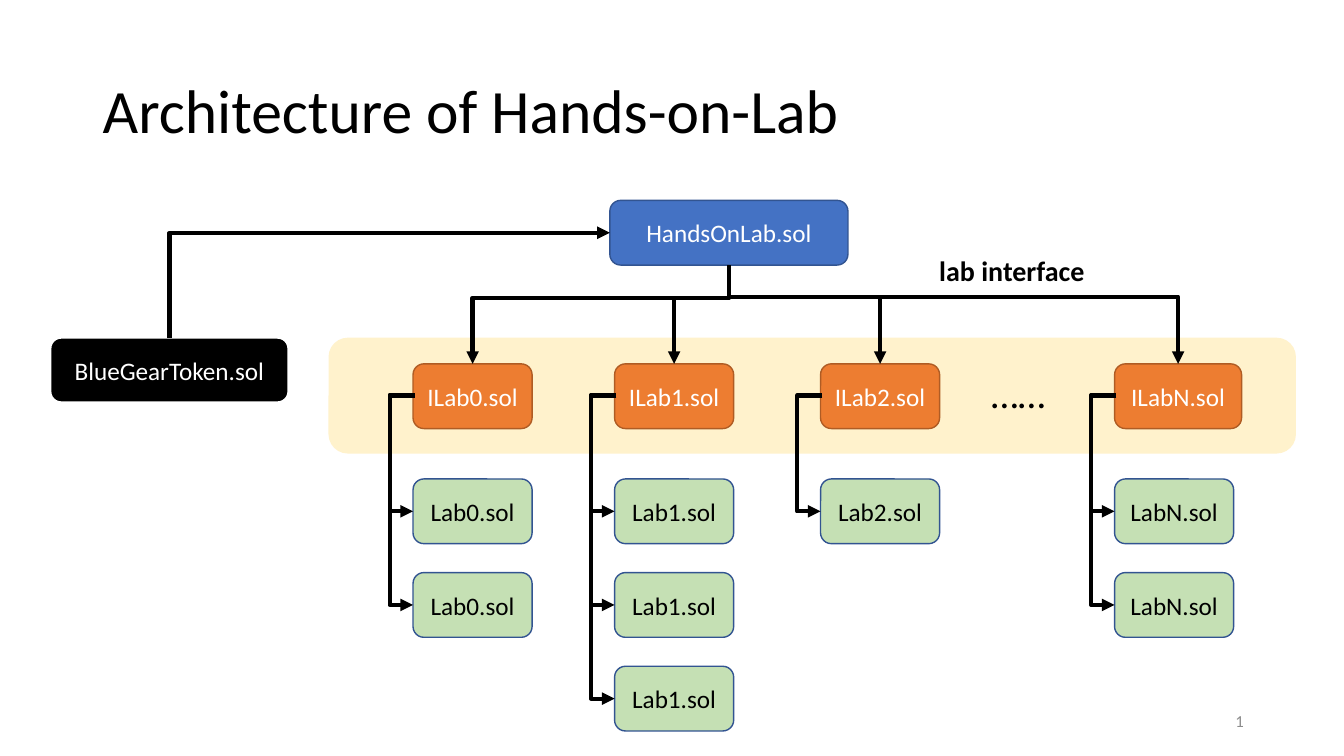
from dataclasses import dataclass

from pptx import Presentation
from pptx.dml.color import RGBColor
from pptx.enum import shapes, text
from pptx.oxml import ns, xmlchemy
from pptx.util import Cm, Pt


@dataclass(frozen=True)
class Theme:
    font: str = "Calibri"
    black: str = "000000"
    white: str = "FFFFFF"
    blue: str = "4472C4"
    blue_edge: str = "325491"
    orange: str = "ED7D31"
    orange_edge: str = "AF5C24"
    green: str = "C5E0B4"
    cream: str = "FFF2CC"
    grey: str = "8C8C8C"
    title: int = 44
    dots: int = 28
    label: int = 20
    body: int = 18
    number: int = 12
    arrow: int = 3


theme = Theme()
HEIGHT = 1.63
LAB_WIDTH = 3
LAB_TOP, LAB_STEP = 3.56, 2.36
COLUMNS = [
    ("Lab0", 2.13, 3, 2),
    ("Lab1", 7.21, 3, 3),
    ("Lab2", 12.4, 3, 1),
    ("LabN", 19.81, 3.2, 2),
]


def write(frame, words, size, color, align, bold=False):
    frame.vertical_anchor = text.MSO_ANCHOR.MIDDLE
    para = frame.paragraphs[0]
    para.text = words
    para.alignment = align
    font = para.font
    font.name, font.size, font.bold = theme.font, Pt(size), bold
    font.color.rgb = RGBColor.from_string(color)
    return para


def add_text(page, box, words, size, color=theme.black,
             align=text.PP_ALIGN.LEFT, bold=False, wrap=True):
    frame = page.shapes.add_textbox(*map(Cm, box)).text_frame
    frame.word_wrap = wrap
    return write(frame, words, size, color, align, bold)


def add_panel(page, box, fill, edge=None, edge_width=1):
    panel = page.shapes.add_shape(
        shapes.MSO_SHAPE.ROUNDED_RECTANGLE, *map(Cm, box))
    panel.shadow.inherit = False
    panel.fill.solid()
    panel.fill.fore_color.rgb = RGBColor.from_string(fill)
    if edge:
        panel.line.color.rgb = RGBColor.from_string(edge)
        panel.line.width = Pt(edge_width)
    else:
        panel.line.fill.background()
    return panel


def add_contract(page, box, name, fill, edge, color=theme.white, edge_width=1):
    panel = add_panel(page, box, fill, edge, edge_width)
    write(panel.text_frame, name, theme.body, color, text.PP_ALIGN.CENTER)


def add_elbow(page, start, end, bend=None, vertical=False):
    (x1, y1), (x2, y2) = start, end
    if vertical:
        middle_x, middle_y = (x1 + x2) / 2, (y1 + y2) / 2
        half_x, half_y = (y2 - y1) / 2, (x1 - x2) / 2
        x1, y1 = middle_x - half_x, middle_y - half_y
        x2, y2 = middle_x + half_x, middle_y + half_y
    arrow = page.shapes.add_connector(
        shapes.MSO_CONNECTOR.ELBOW, Cm(x1), Cm(y1), Cm(x2), Cm(y2))
    arrow.line.color.rgb = RGBColor.from_string(theme.black)
    arrow.line.width = Pt(theme.arrow)
    properties = arrow._element.spPr
    if vertical:
        properties.xfrm.set("rot", "5400000")
    geometry = properties.find(ns.qn("a:prstGeom"))
    if bend is None:
        geometry.set("prst", "bentConnector2")
    else:
        guides = geometry.find(ns.qn("a:avLst"))
        guide = xmlchemy.OxmlElement("a:gd")
        guide.set("name", "adj1")
        guide.set("fmla", f"val {round(bend * 100000)}")
        guides.append(guide)
    tail = xmlchemy.OxmlElement("a:tailEnd")
    tail.set("type", "triangle")
    properties.find(ns.qn("a:ln")).append(tail)
    properties.append(xmlchemy.OxmlElement("a:effectLst"))


def add_core(page, left, top):
    token_top = top + 3.46
    hub_left = left + 14.1
    add_contract(page, (left, token_top, 6, HEIGHT), "BlueGearToken.sol",
                 theme.black, theme.white, edge_width=1.5)
    add_contract(page, (hub_left, top, 6, HEIGHT), "HandsOnLab.sol",
                 theme.blue, theme.blue_edge)
    add_elbow(page, (left + 3, token_top), (hub_left, top + HEIGHT / 2),
              vertical=True)
    return hub_left + 3, top + HEIGHT


def add_column(page, left, top, name, width, count):
    add_contract(page, (left, top, width, HEIGHT), f"I{name}.sol",
                 theme.orange, theme.orange_edge)
    overlap, reach = 0.04, 0.63
    for index in range(count):
        lab_top = top + LAB_TOP - 0.66 + index * LAB_STEP
        add_contract(page, (left, lab_top, LAB_WIDTH, HEIGHT), f"{name}.sol",
                     theme.green, theme.blue_edge, theme.black)
        add_elbow(page, (left + overlap, top + HEIGHT / 2 - 0.02),
                  (left, lab_top + HEIGHT / 2), reach / overlap)


def add_labs(page, box, hub):
    left, top, width, height = box
    row = top + 0.66
    add_panel(page, box, theme.cream)
    for name, offset, size, count in COLUMNS:
        add_column(page, left + offset, row, name, size, count)
        target = left + offset + size / 2
        bend = 0.33 if target < hub[0] else 0.32
        add_elbow(page, hub, (target, row), bend, vertical=True)
    add_text(page, (left + 16.43, row, 1.9, 1.45), "……", theme.dots,
             align=text.PP_ALIGN.CENTER, wrap=False)
    add_text(page, (left + 15.14, top - 2.26, 4.22, 1.12), "lab interface",
             theme.label, bold=True, wrap=False)


def main():
    deck = Presentation()
    deck.slide_width, deck.slide_height = Cm(33.87), Cm(19.05)
    page = deck.slides.add_slide(deck.slide_layouts[6])
    title = add_text(page, (2.34, 1.02, 29.21, 3.68),
                     "Architecture of Hands-on-Lab", theme.title)
    title.line_spacing = 0.9
    hub = add_core(page, 1.27, 5.05)
    add_labs(page, (8.28, 8.51, 24.38, 2.92), hub)
    add_text(page, (23.98, 17.65, 7.62, 1.02), "1", theme.number,
             theme.grey, text.PP_ALIGN.RIGHT)
    deck.save("out.pptx")


main()
